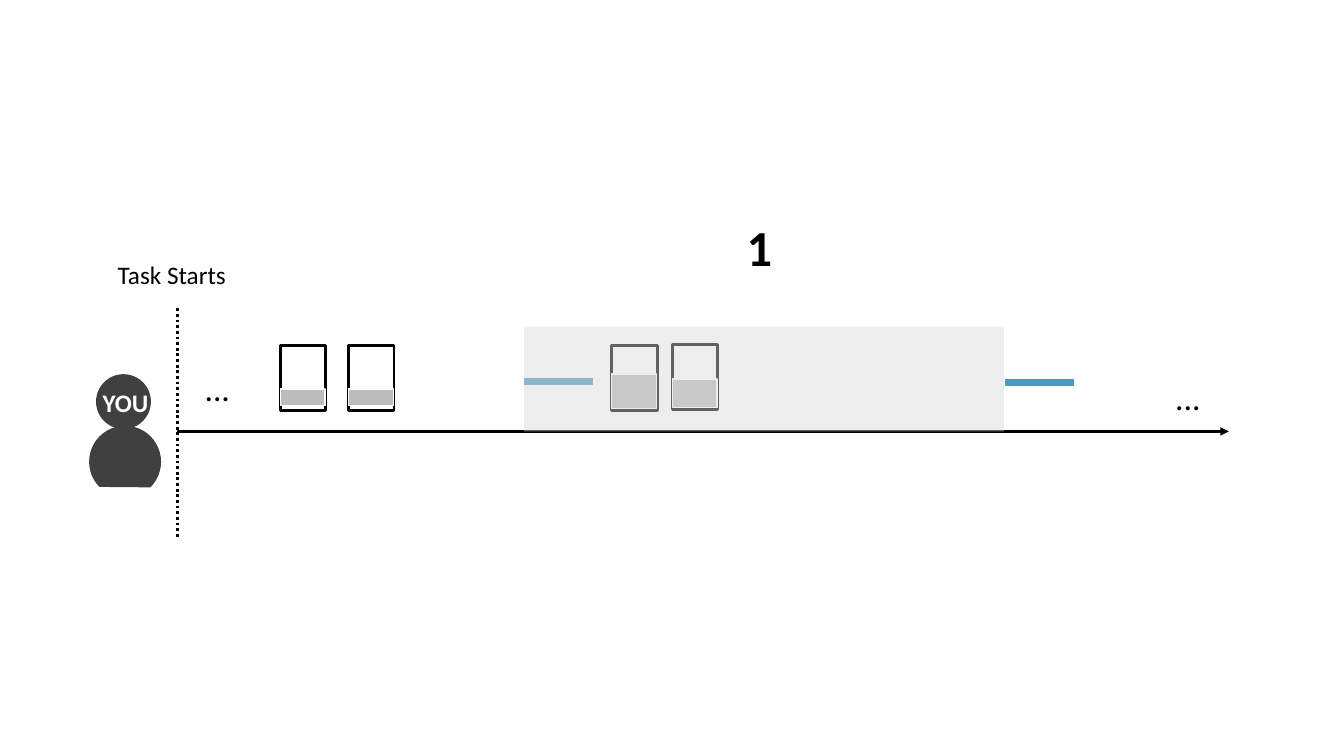
from dataclasses import dataclass

from lxml import etree
from pptx import Presentation
from pptx.dml.color import RGBColor
from pptx.enum.dml import MSO_LINE
from pptx.enum.shapes import MSO_CONNECTOR, MSO_SHAPE
from pptx.enum.text import MSO_AUTO_SIZE, PP_ALIGN
from pptx.oxml.ns import qn
from pptx.util import Pt

RECTANGLE = MSO_SHAPE.RECTANGLE
OVAL = MSO_SHAPE.OVAL
CHORD = MSO_SHAPE.CHORD
STRAIGHT = MSO_CONNECTOR.STRAIGHT
DOTTED = MSO_LINE.ROUND_DOT
FIT_SHAPE = MSO_AUTO_SIZE.SHAPE_TO_FIT_TEXT
LEFT, CENTER = PP_ALIGN.LEFT, PP_ALIGN.CENTER


@dataclass
class Theme:
    font: str = "Calibri"
    ink: str = "000000"
    paper: str = "FFFFFF"
    person: str = "404040"
    level: str = "BCBCBC"
    marker: str = "4B9BC1"
    cover: str = "D9D9D9"
    label: int = 18
    dots: int = 24
    number: int = 36


def write(frame, text, *, theme, size, color, bold=False, align=LEFT):
    para = frame.paragraphs[0]
    para.alignment = align
    span = para.add_run()
    span.text = text
    span.font.name = theme.font
    span.font.size = Pt(size)
    span.font.bold = bold
    span.font.color.rgb = RGBColor.from_string(color)


class Painter:
    def __init__(self, page, theme):
        self.page = page
        self.theme = theme

    def group(self):
        return self.page.shapes.add_group_shape().shapes

    def shape(self, kind, left, top, width, height, fill, *,
              line=None, weight=1, alpha=None, into=None):
        shapes = self.page.shapes if into is None else into
        shape = shapes.add_shape(kind, Pt(left), Pt(top), Pt(width), Pt(height))
        shape.shadow.inherit = False
        shape.fill.solid()
        shape.fill.fore_color.rgb = RGBColor.from_string(fill)
        if alpha is not None:
            color = shape.fill._xPr.find(qn("a:solidFill"))[0]
            etree.SubElement(color, qn("a:alpha")).set("val", str(alpha * 1000))
        if line:
            shape.line.color.rgb = RGBColor.from_string(line)
            shape.line.width = Pt(weight)
        else:
            shape.line.fill.background()
        return shape

    def text(self, text, left, top, width, height, size, *,
             color=None, into=None, **style):
        shapes = self.page.shapes if into is None else into
        box = shapes.add_textbox(Pt(left), Pt(top), Pt(width), Pt(height))
        box.text_frame.word_wrap = True
        box.text_frame.auto_size = FIT_SHAPE
        write(box.text_frame, text, theme=self.theme, size=size,
              color=color or self.theme.ink, **style)

    def line(self, start, end, *, dash=None, arrow=False):
        ends = [Pt(value) for value in (*start, *end)]
        line = self.page.shapes.add_connector(STRAIGHT, *ends)
        line.line.color.rgb = RGBColor.from_string(self.theme.ink)
        line.line.width = Pt(2)
        if dash:
            line.line.dash_style = dash
        if arrow:
            tail = etree.SubElement(line.line._get_or_add_ln(), qn("a:tailEnd"))
            tail.set("type", "triangle")
        etree.SubElement(line._element.spPr, qn("a:effectLst"))

    def person(self, left, top):
        color = self.theme.person
        group = self.group()
        self.shape(OVAL, left + 5, top, 38.2, 38.2, color, line=color, into=group)
        body = self.shape(CHORD, left, top + 36.8, 50.4, 50.4, color,
                          line=color, into=group)
        body.adjustments[0], body.adjustments[1] = 0.586, 162
        body.rotation = 135
        self.text("YOU", left + 2.2, top + 5, 60.5, 29, self.theme.label,
                  color=self.theme.paper, bold=True, into=group)

    def glass(self, left, top, level_top, level_height):
        group = self.group()
        self.shape(RECTANGLE, left, top, 32.4, 46.1, self.theme.paper,
                   line=self.theme.ink, weight=2, into=group)
        self.shape(RECTANGLE, left, top + level_top, 32, level_height,
                   self.theme.level, line=self.theme.paper, into=group)

    def marker(self, left, top):
        self.shape(RECTANGLE, left, top, 50.4, 6.5, self.theme.marker,
                   line=self.theme.paper)


def main():
    deck = Presentation()
    deck.slide_width, deck.slide_height = Pt(960), Pt(540)
    page = deck.slides.add_slide(deck.slide_layouts[6])
    theme = Theme()
    painter = Painter(page, theme)
    start, axis = 126.7, 308.2

    # Ellipses at both ends of the timeline
    for left, top in ((832.3, 265.7), (139, 259.2)):
        painter.text("...", left, top, 66.2, 36, theme.dots)

    # Task start and participant
    painter.line((start, 220.3), (start, 383.8), dash=DOTTED)
    painter.text("Task Starts", 77, 181.4, 109.4, 29, theme.label)
    painter.person(64.1, 267.8)

    # Timeline
    painter.line((start, axis), (877.7, axis), arrow=True)

    # Glasses: left, top, level offset, level height
    for glass in ((200.2, 247, 31, 11.5), (249.1, 247, 31, 11.5),
                  (437, 247, 20.2, 24.5), (480.2, 246.2, 24.5, 20.2)):
        painter.glass(*glass)

    # Markers on both sides of the covered interval
    for left, top in ((373.7, 269.3), (717.1, 270)):
        painter.marker(left, top)

    # Covered interval and its number
    painter.shape(RECTANGLE, 374.4, 233.3, 342.7, 74.9, theme.cover, alpha=45)
    painter.text("1", 512.6, 150.5, 59.8, 51.1, theme.number,
                 bold=True, align=CENTER)

    deck.save("out.pptx")


if __name__ == "__main__":
    main()
